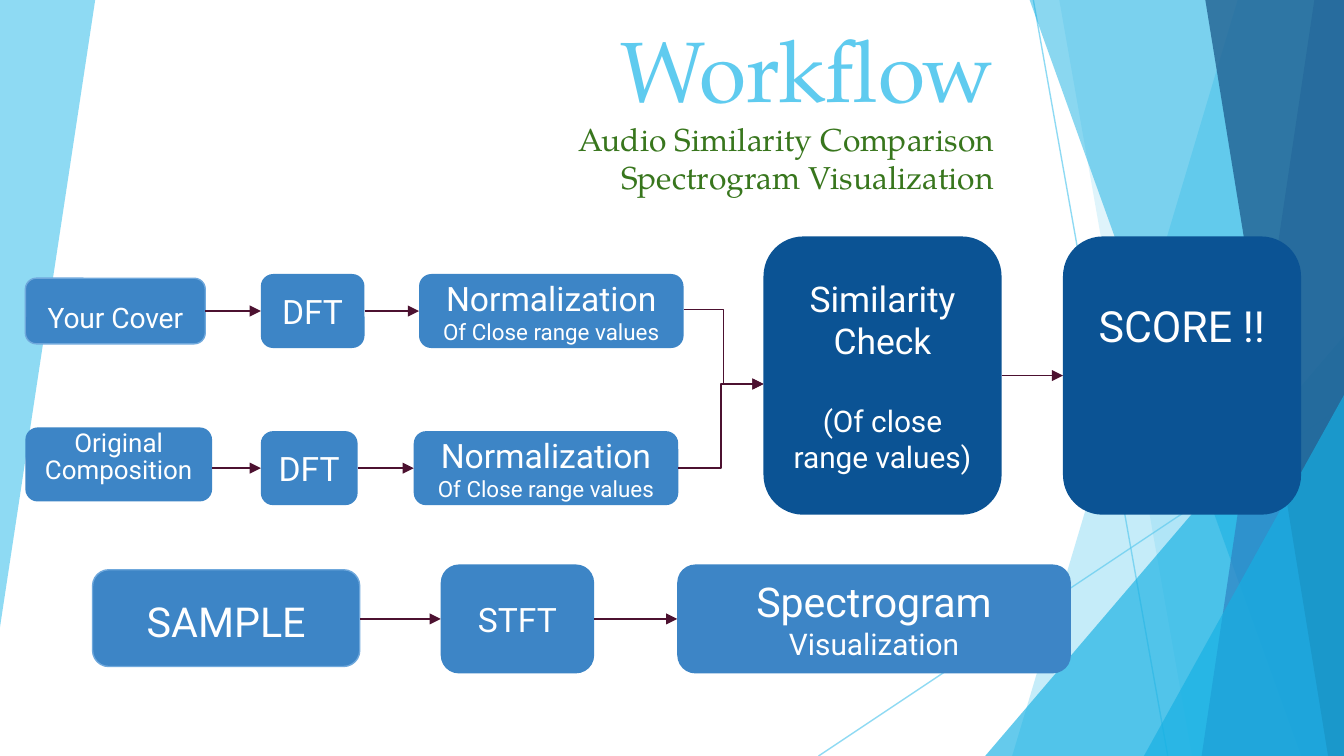
from collections import namedtuple
from dataclasses import dataclass

from lxml.etree import SubElement
from pptx import Presentation
from pptx.dml.color import RGBColor
from pptx.enum.shapes import MSO_CONNECTOR, MSO_SHAPE
from pptx.enum.text import MSO_ANCHOR, PP_ALIGN
from pptx.oxml.ns import qn
from pptx.util import Cm, Pt

Box = namedtuple("Box", "x y w h")


@dataclass(frozen=True)
class Theme:
    """Colours, fonts and type sizes of the deck."""
    sky: str = "5FCBEF"
    aqua: str = "16B0E3"
    blue: str = "2E83C3"
    navy: str = "226292"
    step: str = "3D85C6"
    rim: str = "6FA8DC"
    deep: str = "0B5394"
    wine: str = "4C1130"
    green: str = "38761D"
    white: str = "FFFFFF"
    serif: str = "TeX Gyre Pagella"
    sans: str = "Roboto"
    title: int = 46
    sub: int = 17
    score: int = 23
    large: int = 22
    check: int = 19
    body: int = 18
    note: int = 16
    small: int = 12


@dataclass(frozen=True)
class Node:
    """One step: left offset, width, (text, size) lines and options."""
    x: float
    w: float
    lines: tuple
    dy: float = 0
    trim: float = 0
    lift: bool = False
    rim: bool = False
    space: float = 1


THEME = Theme()


def rgb(code):
    """Turn a hex code into a colour."""
    return RGBColor.from_string(code)


def fade(fill, alpha):
    """Give a solid fill an opacity in percent."""
    tint = fill._xPr.find(".//" + qn("a:srgbClr"))
    SubElement(tint, qn("a:alpha")).set("val", str(alpha * 1000))


def paint(shape, color, alpha=100, rim=None):
    """Fill a shape and set its outline."""
    shape.shadow.inherit = False
    shape.fill.solid()
    shape.fill.fore_color.rgb = rgb(color)
    if alpha < 100:
        fade(shape.fill, alpha)
    if rim:
        shape.line.color.rgb = rgb(rim)
        shape.line.width = Pt(0.75)
    else:
        shape.line.fill.background()


def write(para, text, size, color, face, align):
    """Write one styled paragraph."""
    run = para.add_run()
    run.text = text
    para.alignment = align
    font = para.font
    font.size, font.name = Pt(size), face
    font.color.rgb = rgb(color)
    return run


def link(slide, start, end, color=THEME.wine, kind=MSO_CONNECTOR.ELBOW, head=True):
    """Join two points with a thin line."""
    line = slide.shapes.add_connector(kind, *map(Cm, (*start, *end)))
    line.line.color.rgb = rgb(color)
    line.line.width = Pt(0.75)
    if head:
        SubElement(line.line._get_or_add_ln(), qn("a:tailEnd")).set("type", "triangle")
    SubElement(line._element.spPr, qn("a:effectLst"))
    return line


def facet(slide, points, color, alpha):
    """Draw a translucent polygon."""
    first, *rest = [(Cm(x), Cm(y)) for x, y in points]
    form = slide.shapes.build_freeform(*first)
    form.add_line_segments(rest, close=True)
    paint(form.convert_to_shape(), color, alpha)


def wedge(slide, box, color, alpha):
    """Draw a right triangle leaning on the right edge."""
    shape = slide.shapes.add_shape(MSO_SHAPE.ISOSCELES_TRIANGLE, *map(Cm, box))
    shape.adjustments[0] = 1
    paint(shape, color, alpha)


def backdrop(slide, box):
    """Draw the crystal facets along both slide edges."""
    x, y, right, foot = box.x, box.y, box.x + box.w, box.y + box.h

    def pane(top, base, color, alpha):
        """Draw a facet that reaches the right edge."""
        facet(slide, [(right - top, y), (right, y), (right, foot),
                      (right - base, foot)], color, alpha)

    def prop(w, h):
        """Draw a wedge in the lower right corner."""
        wedge(slide, Box(right - w, foot - h, w, h), THEME.aqua, 66)

    facet(slide, [(x, y), (x + 1.8, y), (x, y + 11.86)], THEME.sky, 70)
    for start, end in (((right - 5.87, y), (right - 3.33, foot)),
                       ((right, y + 7.67), (right - 9.93, foot))):
        ray = link(slide, start, end, THEME.sky, MSO_CONNECTOR.STRAIGHT, False)
        fade(ray.line.fill, 70)
    pane(2.01, 6.27, THEME.sky, 36)
    pane(5.38, 2.87, THEME.sky, 20)
    prop(6.78, 7.94)
    pane(5.94, 0.81, THEME.aqua, 50)
    pane(0.56, 2.69, THEME.blue, 70)
    pane(2.62, 0.3, THEME.navy, 80)
    prop(3.78, 6.82)


def heading(slide, box):
    """Set the title and its two subtitles."""
    frame = slide.shapes.add_textbox(*map(Cm, box)).text_frame
    frame.word_wrap = True
    frame.vertical_anchor = MSO_ANCHOR.BOTTOM
    frame.margin_left = frame.margin_right = Cm(0.18)
    frame.margin_top = frame.margin_bottom = Cm(0.1)
    lines = (("Workflow", THEME.title, THEME.sky),
             ("Audio Similarity Comparison", THEME.sub, THEME.green),
             ("Spectrogram Visualization", THEME.sub, THEME.green))
    for i, (text, size, color) in enumerate(lines):
        para = frame.add_paragraph() if i else frame.paragraphs[0]
        write(para, text, size, color, THEME.serif, PP_ALIGN.RIGHT)


def card(slide, box, node, color):
    """Draw one rounded step and return its text frame."""
    shape = slide.shapes.add_shape(MSO_SHAPE.ROUNDED_RECTANGLE, *map(Cm, box))
    paint(shape, color, rim=THEME.rim if node.rim else None)
    frame = shape.text_frame
    frame.word_wrap = True
    frame.vertical_anchor = MSO_ANCHOR.TOP if node.lift else MSO_ANCHOR.MIDDLE
    frame.margin_left = frame.margin_right = Cm(0.25)
    frame.margin_top = frame.margin_bottom = Cm(0.25)
    for i, (text, size) in enumerate(node.lines):
        para = frame.add_paragraph() if i else frame.paragraphs[0]
        run = write(para, text, size, THEME.white, THEME.sans, PP_ALIGN.CENTER)
        para.line_spacing = node.space
        if node.lift:
            run.font._element.set("baseline", "30000")
    return frame


def track(slide, box, nodes, color=THEME.step):
    """Lay steps along a box, join them and return their frames."""
    mid = box.y + box.h / 2
    frames = [card(slide, Box(box.x + n.x, box.y + n.dy, n.w, box.h - n.trim), n, color)
              for n in nodes]
    for a, b in zip(nodes, nodes[1:]):
        link(slide, (box.x + a.x + a.w, mid), (box.x + b.x, mid))
    return frames


def result(slide, box):
    """Draw the similarity check and the score."""
    check, score = track(slide, box, (
        Node(0, 4.5, (("Similarity Check", THEME.check),
                      ("(Of close range values)", THEME.note))),
        Node(5.66, 4.5, (("SCORE !!", THEME.score),))), THEME.deep)
    check.paragraphs[1].space_before = Pt(22)
    score.margin_bottom = Cm(2.15)


def main():
    """Build the workflow slide."""
    deck = Presentation()
    deck.slide_width, deck.slide_height = Cm(25.4), Cm(14.29)
    slide = deck.slides.add_slide(deck.slide_layouts[6])
    backdrop(slide, Box(0, 0, 25.4, 14.29))
    heading(slide, Box(2.79, 2.03, 16.18, 1.78))
    dft = (("DFT", THEME.body),)
    norm = (("Normalization", THEME.body), ("Of Close range values", THEME.small))
    track(slide, Box(0.48, 5.18, 12.44, 1.4), (
        Node(0, 3.4, (("Your Cover", 26),), 0.08, 0.16, True, True),
        Node(4.45, 1.96, dft), Node(7.44, 5, norm)))
    track(slide, Box(0.48, 8.15, 12.34, 1.4), (
        Node(0, 3.53, (("Original", 24), ("Composition", 24)), -0.07, lift=True, space=0.5),
        Node(4.45, 1.83, dft), Node(7.34, 5, norm)))
    for start in ((12.92, 5.85), (12.82, 8.85)):
        link(slide, start, (14.43, 7.26))
    result(slide, Box(14.43, 4.47, 10.16, 5.26))
    track(slide, Box(1.75, 10.67, 18.49, 2.06), (
        Node(0, 5.05, (("SAMPLE", 38),), 0.1, 0.23, True, True),
        Node(6.58, 2.9, (("STFT", THEME.body),)),
        Node(11.05, 7.44, (("Spectrogram", THEME.large), ("Visualization", THEME.note)))))
    deck.save("out.pptx")


if __name__ == "__main__":
    main()
